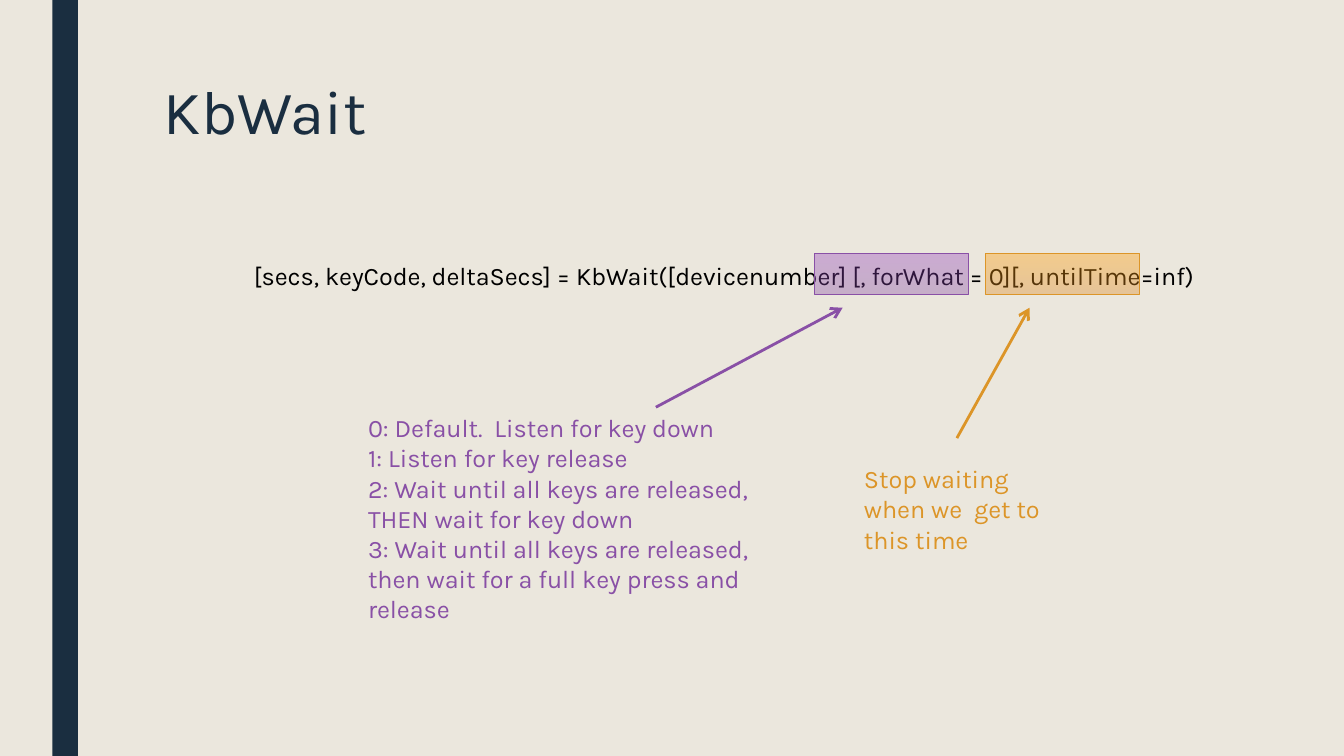
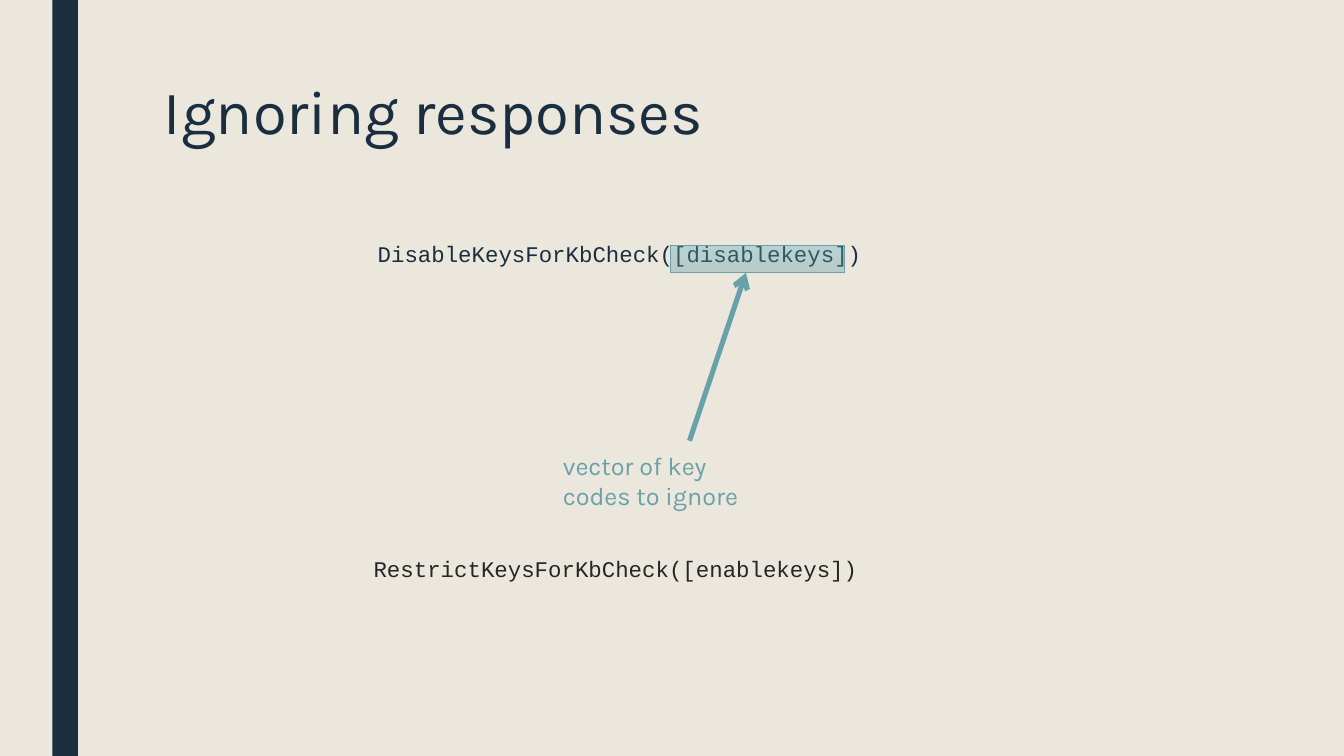
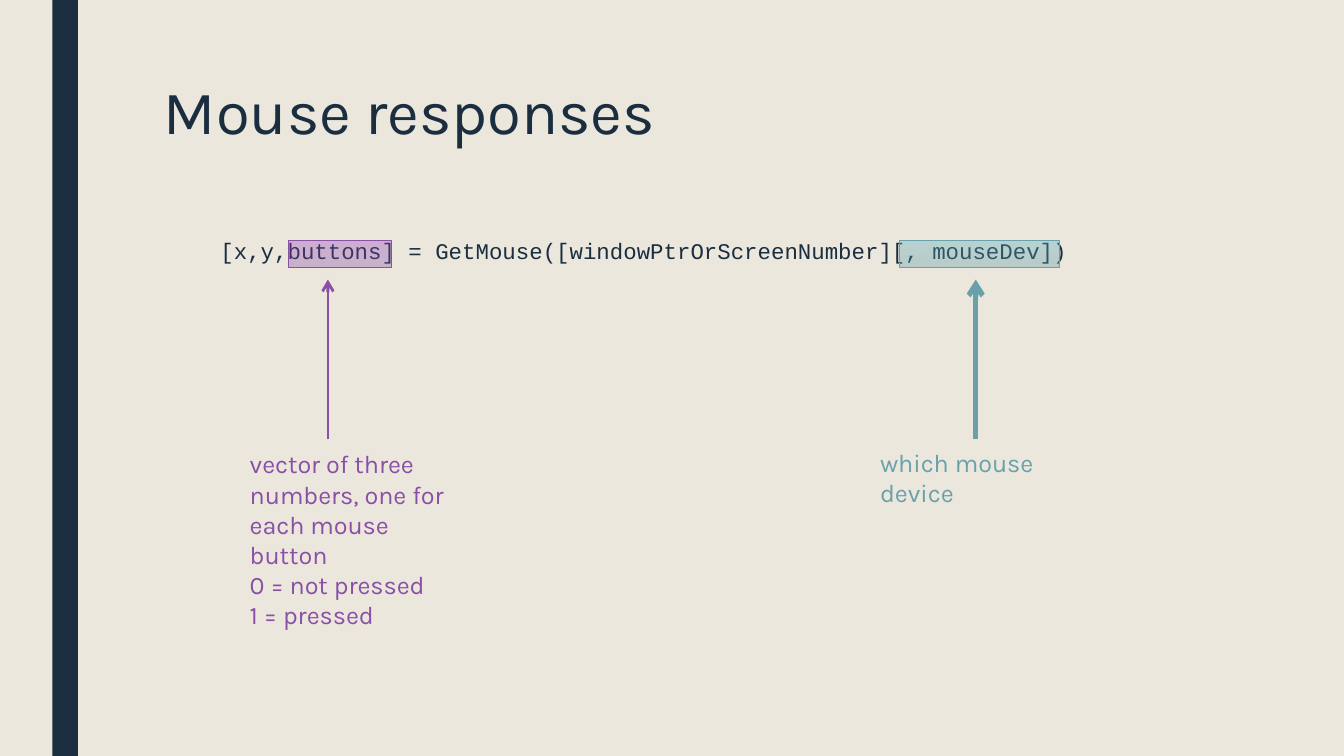
from dataclasses import dataclass

from lxml import etree
from pptx import Presentation, util as u
from pptx.dml.color import RGBColor
from pptx.enum import shapes, text
from pptx.oxml import ns


@dataclass(frozen=True)
class Accent:
    """Colours and arrow weight of one kind of callout."""
    main: str
    low: str
    high: str
    arrow_pt: float


@dataclass(frozen=True)
class Theme:
    """Colours, fonts, type sizes and paragraph formats of the deck."""
    paper: str = "EBE7DD"
    navy: str = "1A2E40"
    black: str = "000000"
    grey: str = "262626"
    prose: str = "Karla"
    code: str = "Courier New"
    title_pt: float = 33
    note_pt: float = 13.5
    code_pt: float = 12
    title_spacing: float = 0.89
    code_spacing: float = 0.94
    purple: Accent = Accent("8950A6", "8146A3", "903BBC", 1.5)
    orange: Accent = Accent("DC9528", "DD8923", "FF9C05", 1.5)
    teal: Accent = Accent("69A1AB", "5A98A3", "58ACBB", 2.75)


THEME = Theme()
COLUMNS, ROWS = 100, 56.25
CELL = u.Inches(0.1)
TITLE_AREA = (11.2, 5.6, 78.8, 12.2)
BAND_AREA = (3.9, 0, 1.9, ROWS)


def cells(*counts):
    """Turn numbers of grid cells into lengths."""
    return [u.Emu(round(count * CELL)) for count in counts]


def assign(target, **values):
    """Set each named attribute on the target."""
    for name, value in values.items():
        setattr(target, name, value)


def colour(code):
    """Return the colour for a hex code."""
    return RGBColor.from_string(code)


def place(part, area):
    """Move a part to an area of the grid."""
    assign(part, **dict(zip(("left", "top", "width", "height"), cells(*area))))


def write(frame, lines, font, size, ink, spacing=None, **frame_format):
    """Fill a text frame with left-aligned paragraphs in one style."""
    assign(frame, word_wrap=True, vertical_anchor=text.MSO_ANCHOR.TOP, **frame_format)
    for number, line in enumerate(lines):
        paragraph = frame.add_paragraph() if number else frame.paragraphs[0]
        assign(paragraph, alignment=text.PP_ALIGN.LEFT, line_spacing=spacing,
               space_before=u.Pt(0))
        run = paragraph.add_run()
        run.text = line
        assign(run.font, name=font, size=u.Pt(size))
        run.font.color.rgb = colour(ink)


def add_titled_slide(deck, layout, heading):
    """Add a slide and set its title."""
    slide = deck.slides.add_slide(deck.slide_layouts.get_by_name(layout))
    title = slide.shapes.title
    place(title, TITLE_AREA)
    write(title.text_frame, [heading], THEME.prose, THEME.title_pt, THEME.navy,
          THEME.title_spacing, auto_size=text.MSO_AUTO_SIZE.NONE)
    return slide


def set_signature(slide, area, call):
    """Put a function signature in the body placeholder, without a bullet."""
    body = slide.placeholders[1]
    place(body, area)
    write(body.text_frame, [call], THEME.code, THEME.code_pt, THEME.navy,
          THEME.code_spacing, auto_size=text.MSO_AUTO_SIZE.NONE)
    properties = body.text_frame.paragraphs[0]._p.get_or_add_pPr()
    properties.set("marL", "0")
    properties.set("indent", "0")
    etree.SubElement(properties, ns.qn("a:buNone"))


def add_note(slide, area, lines, ink, font=THEME.prose, size=THEME.note_pt, **frame_format):
    """Add a text box that grows with its lines."""
    note = slide.shapes.add_textbox(*cells(*area))
    frame_format.setdefault("auto_size", text.MSO_AUTO_SIZE.SHAPE_TO_FIT_TEXT)
    write(note.text_frame, lines, font, size, ink, **frame_format)


def add_marker(slide, area, accent, opacity):
    """Lay a see-through gradient over an argument."""
    marker = slide.shapes.add_shape(shapes.MSO_SHAPE.RECTANGLE, *cells(*area))
    marker.shadow.inherit = False
    marker.fill.gradient()
    marker.fill.gradient_angle = 90
    for stop, shade, position in zip(marker.fill.gradient_stops,
                                     (accent.low, accent.high), (0, 1)):
        stop.position = position
        stop.color.rgb = colour(shade)
    for tint in marker.element.spPr.iter(ns.qn("a:srgbClr")):
        etree.SubElement(tint, ns.qn("a:alpha"), val=str(opacity * 1000))
    marker.line.color.rgb = colour(accent.main)
    marker.line.width = u.Pt(0.5)


def add_arrow(slide, ends, accent):
    """Draw an open-headed arrow from a note to its argument."""
    arrow = slide.shapes.add_connector(shapes.MSO_CONNECTOR.STRAIGHT, *cells(*ends))
    arrow.line.color.rgb = colour(accent.main)
    arrow.line.width = u.Pt(accent.arrow_pt)
    etree.SubElement(arrow.line._get_or_add_ln(), ns.qn("a:tailEnd"), type="arrow")
    etree.SubElement(arrow.element.spPr, ns.qn("a:effectLst"))


def add_callout(slide, accent, opacity, argument, ends, area, lines):
    """Mark an argument and explain it with an arrow and a note."""
    add_marker(slide, argument, accent, opacity)
    add_arrow(slide, ends, accent)
    add_note(slide, area, lines, accent.main)


def dress_master(deck, slide):
    """Give the master its background and side band."""
    master = deck.slide_master
    master.background.fill.solid()
    master.background.fill.fore_color.rgb = colour(THEME.paper)
    band = slide.shapes.add_shape(shapes.MSO_SHAPE.RECTANGLE, *cells(*BAND_AREA))
    band.shadow.inherit = False
    band.fill.solid()
    band.fill.fore_color.rgb = colour(THEME.navy)
    band.line.fill.background()
    master.shapes.element.insert(2, band.element)


def build_kbwait(deck):
    """Explain the optional arguments of KbWait."""
    slide = add_titled_slide(deck, "Title Only", "KbWait")
    dress_master(deck, slide)
    add_note(slide, (17.9, 18.9, 73.6, 3.3),
             ["[secs, keyCode, deltaSecs] = KbWait([devicenumber] [, forWhat = 0]"
              "[, untilTime=inf)"], THEME.black)
    add_callout(slide, THEME.purple, 35, (60.6, 18.9, 11.5, 3), (48.8, 30.3, 62.7, 22.9),
                (26.4, 30.2, 30.5, 16.9),
                ["0: Default.  Listen for key down",
                 "1: Listen for key release",
                 "2: Wait until all keys are released, THEN wait for key down",
                 "3: Wait until all keys are released, then wait for a full key press "
                 "and release"])
    add_callout(slide, THEME.orange, 36, (73.3, 18.9, 11.5, 3), (71.2, 32.6, 76.6, 22.9),
                (63.3, 34, 15.8, 7.8), ["Stop waiting when we  get to this time"])


def build_ignoring(deck):
    """Show how to disable or restrict keys."""
    slide = add_titled_slide(deck, "Title and Content", "Ignoring responses")
    set_signature(slide, (27.1, 17.5, 39.6, 4.1), "DisableKeysForKbCheck([disablekeys])")
    add_callout(slide, THEME.teal, 34, (49.9, 18.3, 12.9, 2), (51.3, 32.8, 55.5, 20.3),
                (40.9, 33, 16.5, 5.6), ["vector of key codes to ignore"])
    side, edge = cells(0.7, 0.4)
    add_note(slide, (27.1, 40.9, 39.6, 4.1), ["RestrictKeysForKbCheck([enablekeys])"],
             THEME.grey, THEME.code, THEME.code_pt, auto_size=text.MSO_AUTO_SIZE.NONE,
             margin_left=side, margin_right=side, margin_top=edge, margin_bottom=edge)


def build_mouse(deck):
    """Explain the output and device argument of GetMouse."""
    slide = add_titled_slide(deck, "Title and Content", "Mouse responses")
    set_signature(slide, (15.4, 17.3, 70.8, 30),
                  "[x,y,buttons] = GetMouse([windowPtrOrScreenNumber][, mouseDev])")
    add_callout(slide, THEME.teal, 34, (66.9, 17.9, 11.9, 2), (72.6, 32.7, 72.6, 20.8),
                (64.5, 32.8, 18, 3.3), ["which mouse device"])
    add_callout(slide, THEME.purple, 33, (21.5, 17.9, 7.6, 2), (24.4, 32.7, 24.4, 20.8),
                (17.6, 32.9, 18, 12.4),
                ["vector of three numbers, one for each mouse button",
                 "0 = not pressed", "1 = pressed"])


def main():
    """Build and save the deck."""
    deck = Presentation()
    deck.slide_width, deck.slide_height = cells(COLUMNS, ROWS)
    for build in (build_kbwait, build_ignoring, build_mouse):
        build(deck)
    deck.save("out.pptx")


if __name__ == "__main__":
    main()
